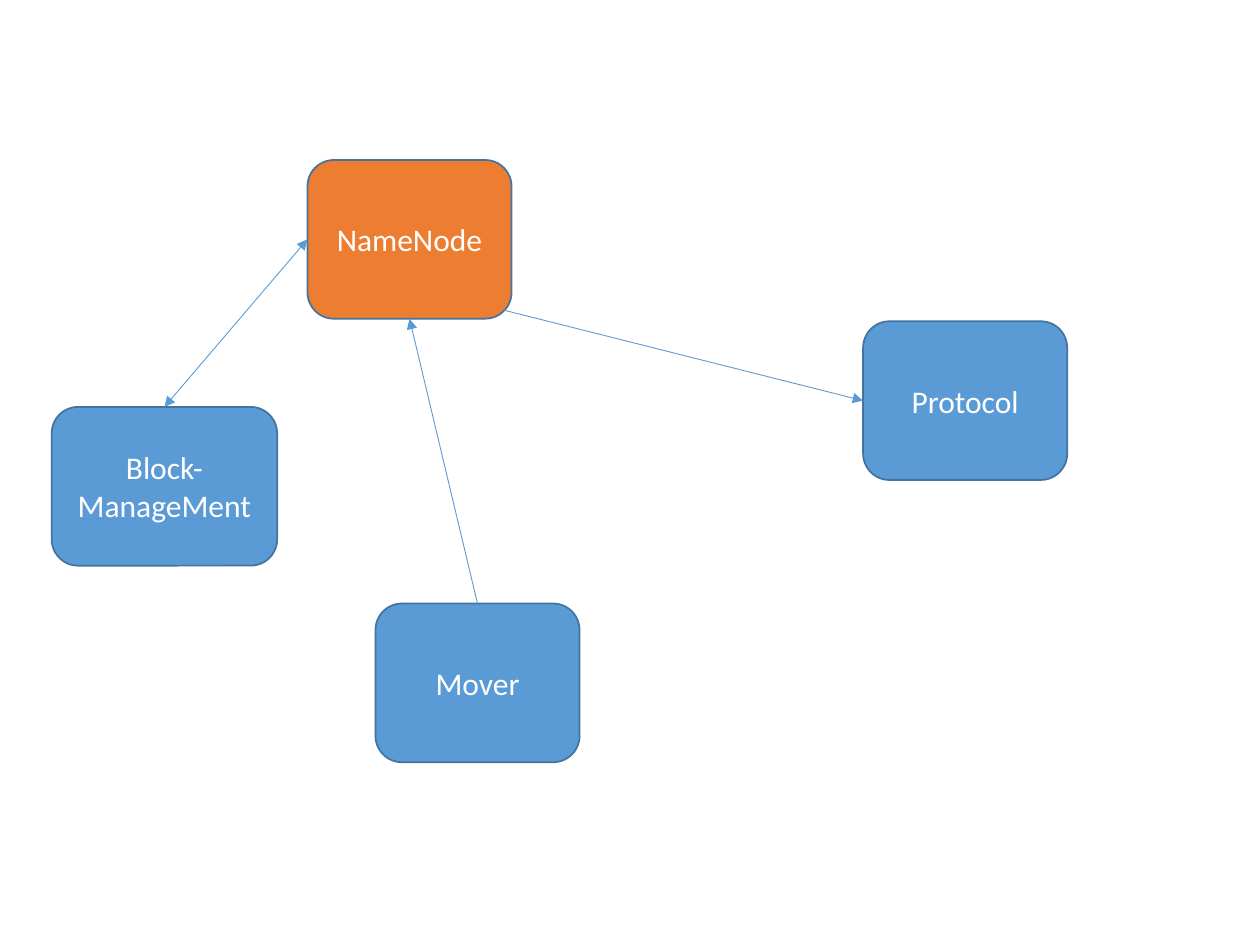
from dataclasses import dataclass
from enum import IntEnum
from typing import Optional

import pptx
import pptx.dml.color
import pptx.enum.shapes
import pptx.enum.text
import pptx.oxml
import pptx.oxml.ns
import pptx.util

Pt = pptx.util.Pt


@dataclass(frozen=True)
class Theme:
    font: str = "Calibri"
    label_size: float = 18
    label: str = "FFFFFF"
    hub: str = "ED7D31"
    component: str = "5B9BD5"
    outline: str = "43739E"
    outline_width: float = 1
    link: str = "5B9BD5"
    link_width: float = 0.5


class Side(IntEnum):
    TOP = 0
    LEFT = 1
    BOTTOM = 2


@dataclass(frozen=True)
class Node:
    label: str
    left: float
    top: float
    fill: str
    width: float = 116.64
    height: float = 90.72


@dataclass(frozen=True)
class Link:
    source: Node
    target: Node
    source_side: Optional[Side]
    target_side: Side
    two_way: bool = False


THEME = Theme()
CORNER_INSET = 5.1

NAME_NODE = Node("NameNode", 175.68, 91.44, THEME.hub)
PROTOCOL = Node("Protocol", 493.2, 183.6, THEME.component)
MOVER = Node("Mover", 214.56, 344.88, THEME.component)
BLOCK_MANAGEMENT = Node("Block-ManageMent", 29.52, 232.56, THEME.component, width=128.88)

NODES = (NAME_NODE, PROTOCOL, MOVER, BLOCK_MANAGEMENT)
LINKS = (
    Link(BLOCK_MANAGEMENT, NAME_NODE, Side.TOP, Side.LEFT, two_way=True),
    Link(NAME_NODE, PROTOCOL, None, Side.LEFT),
    Link(MOVER, NAME_NODE, Side.TOP, Side.BOTTOM),
)


def rgb(value: str) -> pptx.dml.color.RGBColor:
    return pptx.dml.color.RGBColor.from_string(value)


def draw_node(slide, node: Node):
    box = slide.shapes.add_shape(
        pptx.enum.shapes.MSO_SHAPE.ROUNDED_RECTANGLE,
        Pt(node.left), Pt(node.top), Pt(node.width), Pt(node.height),
    )
    box.shadow.inherit = False
    box.fill.solid()
    box.fill.fore_color.rgb = rgb(node.fill)
    box.line.color.rgb = rgb(THEME.outline)
    box.line.width = Pt(THEME.outline_width)
    frame = box.text_frame
    frame.word_wrap = True
    frame.vertical_anchor = pptx.enum.text.MSO_ANCHOR.MIDDLE
    frame.text = node.label
    paragraph = frame.paragraphs[0]
    paragraph.alignment = pptx.enum.text.PP_ALIGN.CENTER
    font = paragraph.runs[0].font
    font.name = THEME.font
    font.size = Pt(THEME.label_size)
    font.color.rgb = rgb(THEME.label)
    return box


def add_arrowhead(connector, end: str) -> None:
    arrowhead = pptx.oxml.parse_xml(
        f'<a:{end} {pptx.oxml.ns.nsdecls("a")} type="triangle"/>'
    )
    connector.line._get_or_add_ln().append(arrowhead)


def draw_link(slide, link: Link, boxes: dict) -> None:
    source = link.source
    corner_x = source.left + source.width - CORNER_INSET
    corner_y = source.top + source.height - CORNER_INSET
    connector = slide.shapes.add_connector(
        pptx.enum.shapes.MSO_CONNECTOR.STRAIGHT,
        Pt(corner_x), Pt(corner_y), Pt(corner_x), Pt(corner_y),
    )
    if link.source_side is not None:
        connector.begin_connect(boxes[source], link.source_side)
    connector.end_connect(boxes[link.target], link.target_side)
    connector.line.color.rgb = rgb(THEME.link)
    connector.line.width = Pt(THEME.link_width)
    if link.two_way:
        add_arrowhead(connector, "headEnd")
    add_arrowhead(connector, "tailEnd")
    connector._element.spPr.append(
        pptx.oxml.parse_xml(f'<a:effectLst {pptx.oxml.ns.nsdecls("a")}/>')
    )


def main() -> None:
    presentation = pptx.Presentation()
    presentation.slide_width = Pt(720)
    presentation.slide_height = Pt(540)
    slide = presentation.slides.add_slide(presentation.slide_layouts[6])
    boxes = {node: draw_node(slide, node) for node in NODES}
    for link in LINKS:
        draw_link(slide, link, boxes)
    presentation.save("out.pptx")


if __name__ == "__main__":
    main()
